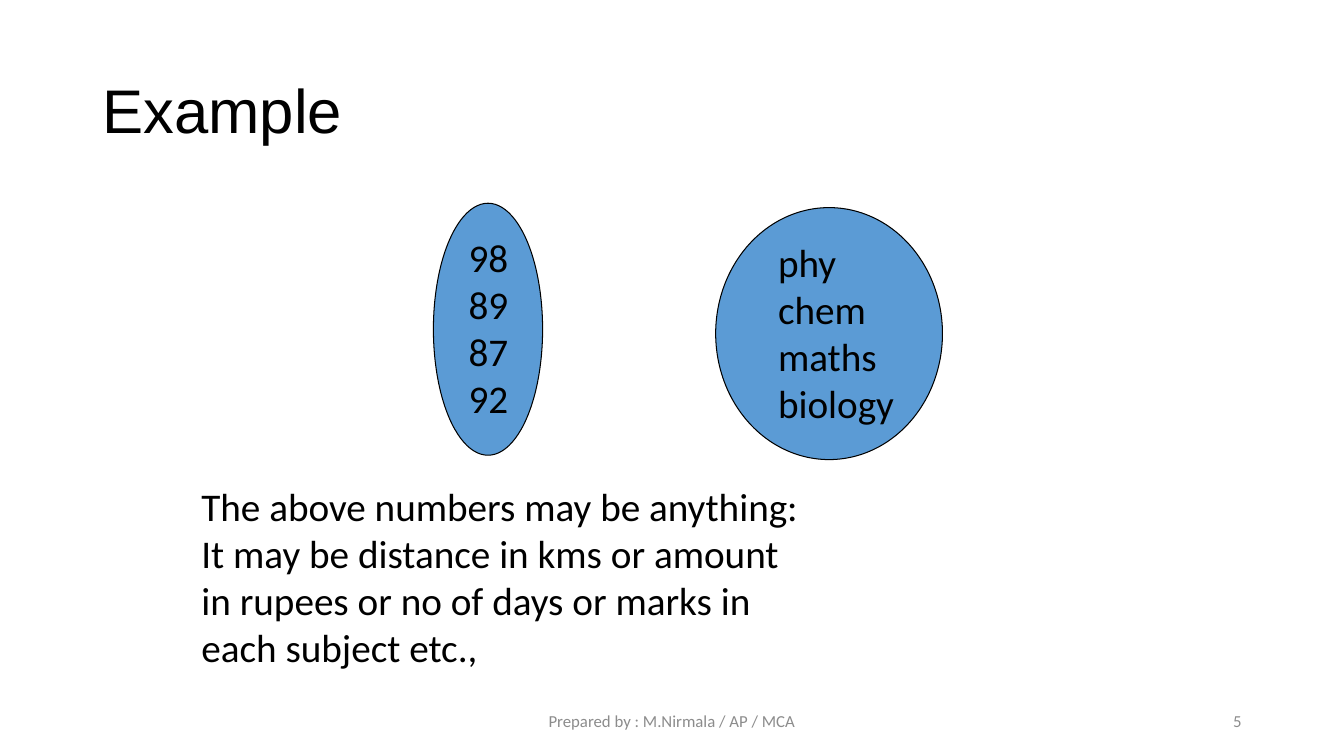
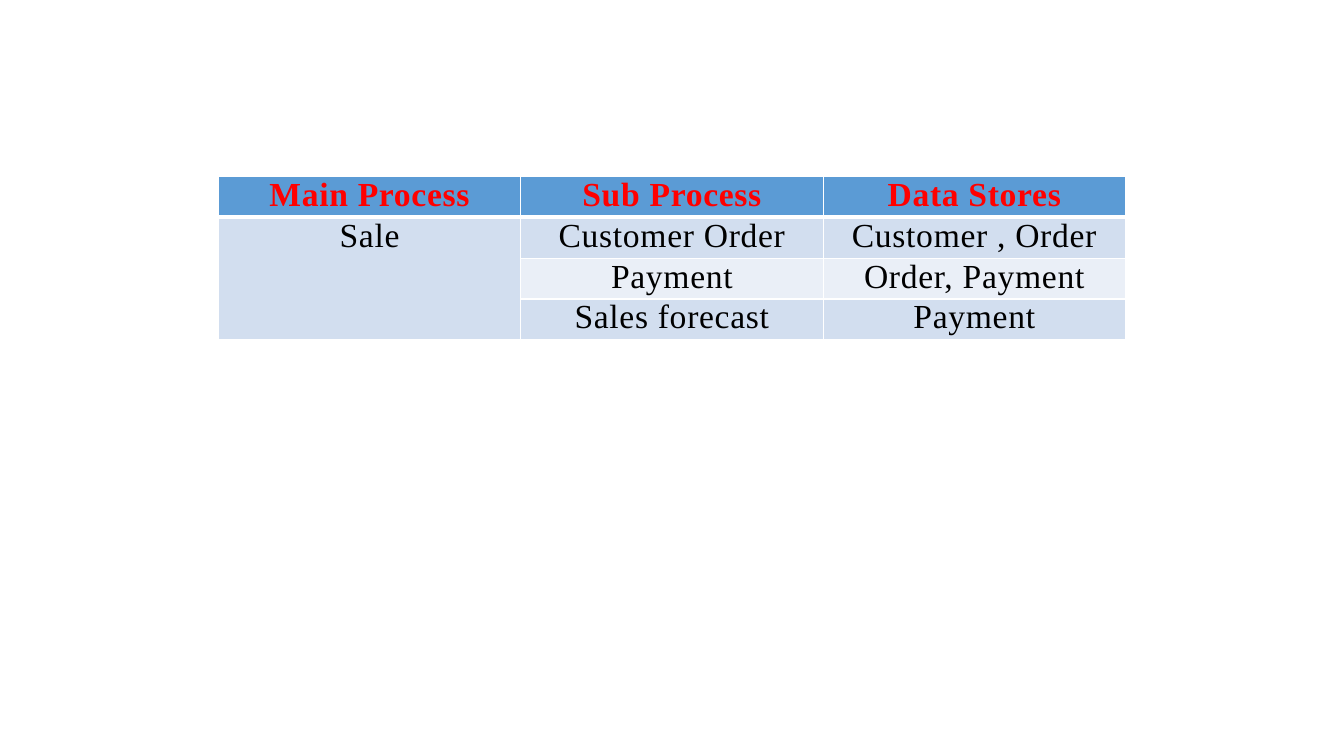
from lxml import etree
from pptx import Presentation
from pptx.dml.color import RGBColor
from pptx.enum import shapes, text
from pptx.oxml.ns import qn
from pptx.util import Pt

HUES = {"ink": "000000", "blue": "5B9BD5", "grey": "8C8C8C", "red": "FF0000",
        "dark": "D2DEEF", "light": "EAEFF7", "white": "FFFFFF"}
ALIGN = text.PP_ALIGN
TITLE_ONLY, BLANK = 5, 6


def hue(name):
    return RGBColor.from_string(HUES[name])


def style(para, face="Calibri", size=28, color="ink", bold=False, align=ALIGN.LEFT):
    font = para.font
    font.name, font.size, font.bold = face, Pt(size), bold
    font.color.rgb = hue(color)
    para.alignment = align


def set_title(slide, words, box):
    title = slide.shapes.title
    title.left, title.top, title.width, title.height = map(Pt, box)
    frame = title.text_frame
    frame.text = words
    frame.vertical_anchor = text.MSO_ANCHOR.MIDDLE
    para = frame.paragraphs[0]
    style(para, "Arial", 44)
    para.line_spacing = 0.9


def add_text(slide, lines, box, anchor=text.MSO_ANCHOR.TOP, **look):
    frame = slide.shapes.add_textbox(*map(Pt, box)).text_frame
    frame.word_wrap = True
    frame.vertical_anchor = anchor
    frame.text = "\n".join(lines)
    for para in frame.paragraphs:
        style(para, **look)


def add_set(slide, items, box, inset):
    """Draw an ellipse whose members are listed from the inset to its right edge."""
    left, top, width, height = box
    oval = slide.shapes.add_shape(shapes.MSO_SHAPE.OVAL, *map(Pt, box))
    oval.shadow.inherit = False
    oval.fill.solid()
    oval.fill.fore_color.rgb = hue("blue")
    oval.line.color.rgb = hue("ink")
    oval.line.width = Pt(0.75)
    add_text(slide, items, (left + inset, top + 18, width - inset, height - 38))


def add_footer(slide, note, number, top=500.4, height=28.8):
    parts = ((number, 678, 216, ALIGN.RIGHT), (note, 318, 324, ALIGN.CENTER))
    for words, left, width, align in parts:
        add_text(slide, [words], (left, top, width, height),
                 text.MSO_ANCHOR.MIDDLE, size=12, color="grey", align=align)


def add_edges(cell, base):
    """Give a cell white edges, with the bottom one of the given width."""
    props = cell._tc.get_or_add_tcPr()
    for side, width in (("L", 1), ("R", 1), ("T", 1), ("B", base)):
        line = etree.SubElement(props, qn(f"a:ln{side}"), w=str(Pt(width)))
        fill = etree.SubElement(line, qn("a:solidFill"))
        etree.SubElement(fill, qn("a:srgbClr"), val=HUES["white"])


def fill_cell(cell, words, row):
    head = row == 0
    add_edges(cell, 3 if head else 1)
    cell.fill.solid()
    cell.fill.fore_color.rgb = hue("blue" if head else "dark" if row % 2 else "light")
    cell.margin_left = cell.margin_right = Pt(5.4)
    cell.margin_top = cell.margin_bottom = 0
    if words:
        para = cell.text_frame.paragraphs[0]
        style(para, "Times New Roman", 24, "red" if head else "ink", head, ALIGN.CENTER)
        run = para.add_run()
        run.text = words
        run._r.get_or_add_rPr().set("spc", "50")


def add_grid(slide, rows, box):
    height = box[3] / len(rows)
    grid = slide.shapes.add_table(len(rows), len(rows[0]), *map(Pt, box)).table
    for r, words in enumerate(rows):
        grid.rows[r].height = Pt(height)
        for c, word in enumerate(words):
            fill_cell(grid.cell(r, c), word, r)
    grid.cell(1, 0).merge(grid.cell(len(rows) - 1, 0))


def build_example(deck):
    slide = deck.slides.add_slide(deck.slide_layouts[TITLE_ONLY])
    set_title(slide, "Example", (66, 28.75, 828, 104.4))
    add_set(slide, ["98", "89", "87", "92"], (309.6, 145.2, 78, 180), 18)
    add_set(slide, ["phy", "chem", "maths", "biology"], (511.2, 148.3, 162, 180), 37.5)
    add_text(slide, ["The above numbers may be anything: It may be distance in kms or "
                     "amount in rupees or no of days or marks in each subject etc.,"],
             (136.8, 340.6, 450.7, 142))
    add_footer(slide, "Prepared by : M.Nirmala / AP / MCA", "5")


def build_stores(deck):
    slide = deck.slides.add_slide(deck.slide_layouts[BLANK])
    add_grid(slide, [
        ["Main Process", "Sub Process", "Data Stores"],
        ["Sale", "Customer Order", "Customer , Order"],
        ["", "Payment", "Order, Payment"],
        ["", "Sales forecast", "Payment"],
    ], (156, 126, 648, 116.8))


def main():
    deck = Presentation()
    deck.slide_width, deck.slide_height = Pt(960), Pt(540)
    build_example(deck)
    build_stores(deck)
    deck.save("out.pptx")


if __name__ == "__main__":
    main()
